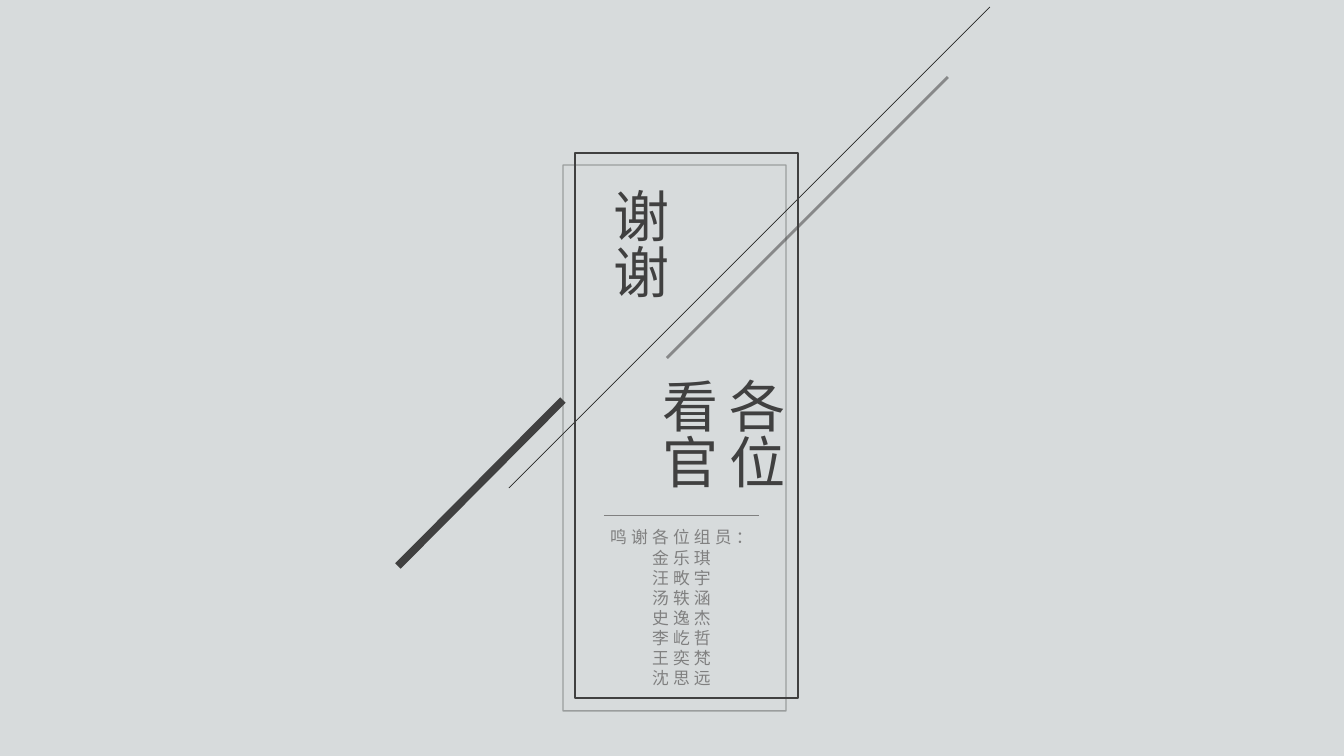
from lxml.etree import SubElement
from pptx import Presentation
from pptx.dml.color import RGBColor
from pptx.enum.shapes import MSO_CONNECTOR, MSO_SHAPE
from pptx.enum.text import MSO_ANCHOR, MSO_AUTO_SIZE, PP_ALIGN
from pptx.oxml.ns import qn
from pptx.util import Emu, Pt

SLIDE_WIDTH, SLIDE_HEIGHT = 12192000, 6858000
SCALE = SLIDE_WIDTH / 1344
COLORS = {"mist": "D7DBDC", "ink": "404040", "black": "262626", "grey": "808080"}
CJK = "Noto Sans CJK SC"
NARROW = "Arial Narrow"


def px(*lengths):
    return [Emu(round(length * SCALE)) for length in lengths]


class Card:
    def __init__(self, slide):
        self.slide = slide
        self.shapes = slide.shapes

    def color(self, name):
        return RGBColor.from_string(COLORS[name])

    def background(self, name):
        fill = self.slide.background.fill
        fill.solid()
        fill.fore_color.rgb = self.color(name)

    def stroke(self, line, name, width, opacity):
        line.color.rgb = self.color(name)
        line.width = Pt(width)
        if opacity < 100:
            tint = line.fill._xPr.find(qn("a:solidFill"))[0]
            SubElement(tint, qn("a:alpha"), val=str(opacity * 1000))

    def frame(self, box, name, opacity=100):
        outline = self.shapes.add_shape(MSO_SHAPE.RECTANGLE, *px(*box))
        outline.shadow.inherit = False
        outline.fill.background()
        self.stroke(outline.line, name, 1, opacity)

    def line(self, ends, name, width, opacity=100):
        stroke = self.shapes.add_connector(MSO_CONNECTOR.STRAIGHT, *px(*ends))
        self.stroke(stroke.line, name, width, opacity)
        SubElement(stroke._element.spPr, qn("a:effectLst"))

    def text(self, holder, box, lines, size, name, latin, align, spacing=0, vertical=False):
        holder.left, holder.top, holder.width, holder.height = px(*box)
        frame = holder.text_frame
        frame.text = "\n".join(lines)
        frame.word_wrap = True
        frame.auto_size = MSO_AUTO_SIZE.SHAPE_TO_FIT_TEXT
        frame.vertical_anchor = MSO_ANCHOR.TOP
        if vertical:
            frame._txBody.bodyPr.set("vert", "eaVert")
        for paragraph in frame.paragraphs:
            paragraph.alignment = align
            paragraph.space_before = Pt(0)
            properties = paragraph._p.get_or_add_pPr()
            properties.set("marL", "0")
            properties.set("indent", "0")
            SubElement(properties, qn("a:buNone"))
            font = paragraph.font
            font.size = Pt(size)
            font.color.rgb = self.color(name)
            font.name = latin
            font._rPr.set("lang", "zh-CN")
            font._rPr.set("spc", str(spacing * 100))
            SubElement(font._rPr, qn("a:ea"), typeface=CJK)

    def heading(self, holder, box, words):
        self.text(holder, box, [words], 40, "ink", CJK, PP_ALIGN.JUSTIFY, vertical=True)


def main():
    deck = Presentation()
    deck.slide_width, deck.slide_height = SLIDE_WIDTH, SLIDE_HEIGHT
    card = Card(deck.slides.add_slide(deck.slide_layouts[1]))
    thanks, members = card.slide.placeholders

    card.background("mist")
    card.frame((563, 165, 223, 546), "ink", 40)
    card.line((509, 488, 990, 7), "black", 0.5)
    card.frame((575, 153, 223, 545), "ink")
    card.heading(thanks, (594, 183, 89, 133), "谢谢")
    card.line((563, 400, 398, 566), "ink", 5.5)
    card.line((948, 77, 667, 358), "ink", 0, 52)
    card.text(
        members,
        (597, 522, 169, 173),
        ["鸣谢各位组员：", "金乐琪", "汪畋宇", "汤轶涵", "史逸杰", "李屹哲", "王奕梵", "沈思远"],
        12, "grey", NARROW, PP_ALIGN.CENTER, spacing=3,
    )
    card.line((604, 515, 759, 515), "grey", 0.5)
    audience = card.shapes.add_textbox(*px(638, 368, 156, 136))
    card.heading(audience, (638, 368, 156, 136), "各位看官")
    deck.save("out.pptx")


if __name__ == "__main__":
    main()
